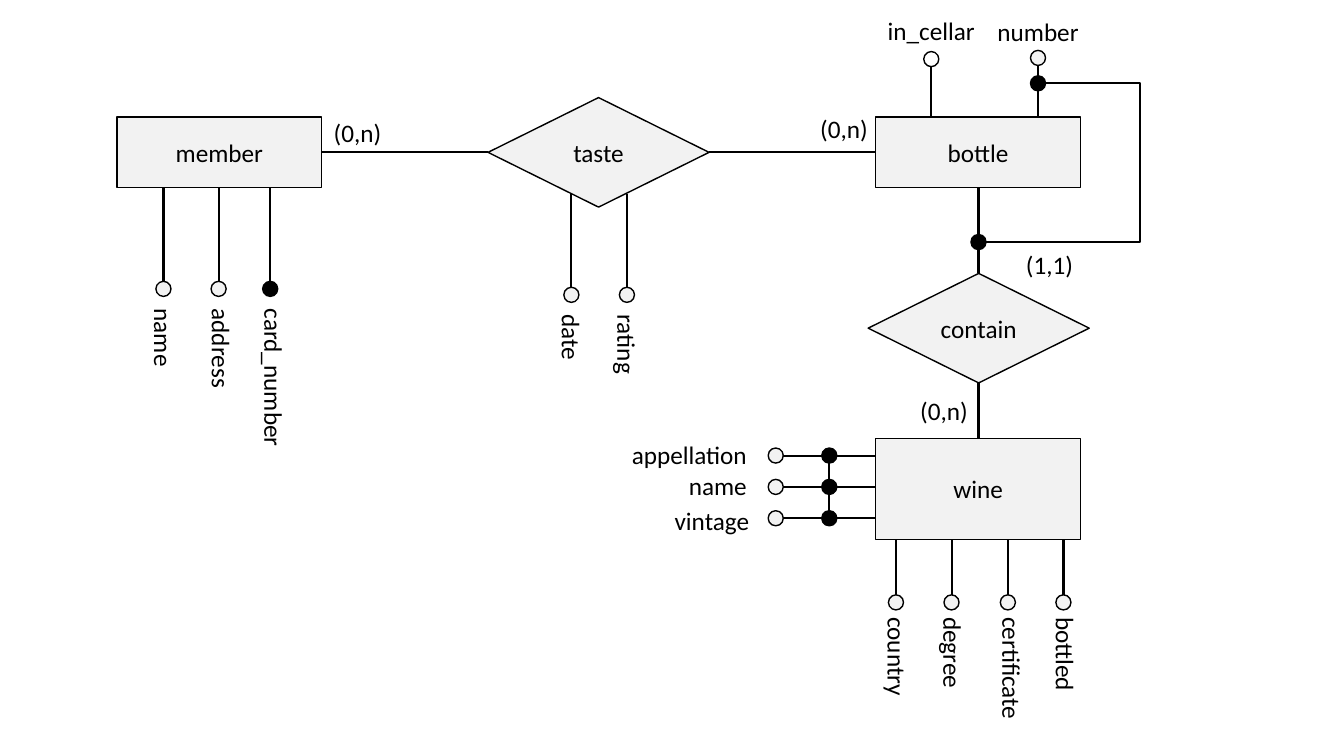
from dataclasses import dataclass
from lxml.etree import SubElement
from pptx import Presentation
from pptx.dml.color import RGBColor as Rgb
from pptx.enum.shapes import MSO_CONNECTOR as Link, MSO_SHAPE as Kind
from pptx.enum.text import MSO_ANCHOR as Anchor, MSO_AUTO_SIZE as Fit, PP_ALIGN as Align
from pptx.oxml.ns import qn
from pptx.shapes.autoshape import Shape
from pptx.shapes.connector import Connector
from pptx.util import Cm, Pt


@dataclass(frozen=True)
class Theme:
    ink: Rgb = Rgb(0, 0, 0)
    pale: Rgb = Rgb(0xF2, 0xF2, 0xF2)
    white: Rgb = Rgb(0xFF, 0xFF, 0xFF)
    font: str = "Calibri"
    size: float = 18
    edge: float = 1
    wire: float = 1.5


LOOK = Theme()
DOT = 0.38
ROW = 1.02


@dataclass(frozen=True)
class Node:
    text: str
    kind: Kind
    x: float
    y: float
    w: float
    h: float


@dataclass(frozen=True)
class Label:
    text: str
    x: float
    y: float
    w: float
    align: Align = Align.CENTER


@dataclass(frozen=True)
class Pin:
    x: float
    shift: float
    text: str
    w: float
    fill: Rgb = LOOK.pale


@dataclass(frozen=True)
class Comb:
    root: float
    end: float
    top: float
    pins: tuple[Pin, ...]


NODES = (
    Node("taste", Kind.FLOWCHART_DECISION, 12.3, 2.46, 5.57, 2.76),
    Node("contain", Kind.FLOWCHART_DECISION, 21.88, 6.89, 5.57, 2.76),
    Node("member", Kind.RECTANGLE, 2.95, 2.95, 5.16, 1.78),
    Node("bottle", Kind.RECTANGLE, 22.07, 2.95, 5.16, 1.78),
    Node("wine", Kind.RECTANGLE, 22.07, 11.05, 5.16, 2.54),
)

WIRES = (
    (8.11, 3.84, 12.3, 3.84),
    (17.87, 3.84, 22.07, 3.84),
    (24.66, 6.89, 24.66, 4.73),
    (24.66, 9.65, 24.66, 11.05),
    (20.9, 11.48, 20.9, 13.13),
)

COUNTS = (
    Label("(0,n)", 9.01, 3.33, 1.8),
    Label("(0,n)", 23.79, 10.34, 1.8),
    Label("(1,1)", 26.45, 6.68, 1.8),
    Label("(0,n)", 21.27, 3.23, 1.8),
)

COMBS = (
    Comb(4.73, 7.28, 7.53, (
        Pin(4.12, 0.01, "name", 4.24),
        Pin(5.51, 0.08, "address", 4.24),
        Pin(6.81, 0.1, "card_number", 4.42, LOOK.ink),
    )),
    Comb(4.88, 7.43, 7.68, (
        Pin(14.4, 0.01, "date", 4.24),
        Pin(15.8, 0.01, "rating", 4.24),
    )),
    Comb(13.59, 15.18, 15.3, (
        Pin(22.58, 0.04, "country", 3.23),
        Pin(23.98, 0.04, "degree", 3.23),
        Pin(25.4, 0.11, "certificate", 3.43),
        Pin(26.8, 0.06, "bottled", 3.23),
    )),
)

KEYS = (
    (11.48, Label("appellation", 16.95, 11.46, 4.24, Align.RIGHT)),
    (12.27, Label("name", 16.95, 12.24, 4.24, Align.RIGHT)),
    (13.06, Label("vintage", 17.01, 13.11, 4.24, Align.RIGHT)),
)

HEADS = (
    (1.49, LOOK.white, Label("in_cellar", 23.47, 0.76, 3.2)),
    (1.46, LOOK.pale, Label("number", 26.16, 0.79, 3.2)),
)

deck = Presentation()
deck.slide_width, deck.slide_height = Cm(33.87), Cm(19.05)
page = deck.slides.add_slide(deck.slide_layouts[6]).shapes


def write(shape: Shape, text: str, *, align: Align = Align.CENTER,
          anchor: Anchor = Anchor.TOP, fit: Fit = Fit.NONE) -> None:
    frame = shape.text_frame
    frame.word_wrap = True
    frame.auto_size = fit
    frame.vertical_anchor = anchor
    para = frame.paragraphs[0]
    para.alignment = align
    run = para.add_run()
    run.text = text
    run.font.name = LOOK.font
    run.font.size = Pt(LOOK.size)
    run.font.color.rgb = LOOK.ink


def form(kind: Kind, x: float, y: float, w: float, h: float, fill: Rgb) -> Shape:
    shape = page.add_shape(kind, Cm(x), Cm(y), Cm(w), Cm(h))
    shape.shadow.inherit = False
    shape.fill.solid()
    shape.fill.fore_color.rgb = fill
    shape.line.color.rgb = LOOK.ink
    shape.line.width = Pt(LOOK.edge)
    return shape


def dot(x: float, y: float, fill: Rgb) -> None:
    form(Kind.OVAL, x - DOT / 2, y - DOT / 2, DOT, DOT, fill)


def wire(x: float, y: float, tox: float, toy: float,
         kind: Link = Link.STRAIGHT) -> Connector:
    line = page.add_connector(kind, Cm(x), Cm(y), Cm(tox), Cm(toy))
    line.line.color.rgb = LOOK.ink
    line.line.width = Pt(LOOK.wire)
    SubElement(line._element.spPr, qn("a:effectLst"))
    return line


def bend(x: float, y: float, tox: float, toy: float, via: float) -> None:
    line = wire(x, y, tox, toy, Link.ELBOW)
    ratio = round((via - x) / (tox - x) * 100000)
    geom = line._element.spPr.find(qn("a:prstGeom"))
    SubElement(geom.find(qn("a:avLst")), qn("a:gd"), name="adj1", fmla=f"val {ratio}")


def tag(item: Label, turn: int = 0) -> None:
    box = page.add_textbox(Cm(item.x - item.w / 2), Cm(item.y - ROW / 2),
                           Cm(item.w), Cm(ROW))
    box.rotation = turn
    write(box, item.text, align=item.align, fit=Fit.SHAPE_TO_FIT_TEXT)


def main() -> None:
    for node in NODES:
        shape = form(node.kind, node.x, node.y, node.w, node.h, LOOK.pale)
        write(shape, node.text, anchor=Anchor.MIDDLE)
    for ends in WIRES:
        wire(*ends)
    for count in COUNTS:
        tag(count)
    for comb in COMBS:
        for pin in comb.pins:
            wire(pin.x, comb.root, pin.x, comb.end - DOT / 2)
            dot(pin.x, comb.end, pin.fill)
            tag(Label(pin.text, pin.x + pin.shift, comb.top + pin.w / 2,
                      pin.w, Align.LEFT), 90)
    for y, label in KEYS:
        wire(22.07, y, 19.55 + DOT / 2, y)
        dot(19.55, y, LOOK.pale)
        dot(20.9, y, LOOK.ink)
        tag(label)
    for y, fill, label in HEADS:
        wire(label.x, 2.95, label.x, y + DOT / 2)
        dot(label.x, y, fill)
        tag(label)
    bend(26.34, 2.1, 24.84, 6.1, 28.73)
    dot(26.16, 2.1, LOOK.ink)
    dot(24.66, 6.1, LOOK.ink)
    deck.save("out.pptx")


if __name__ == "__main__":
    main()
